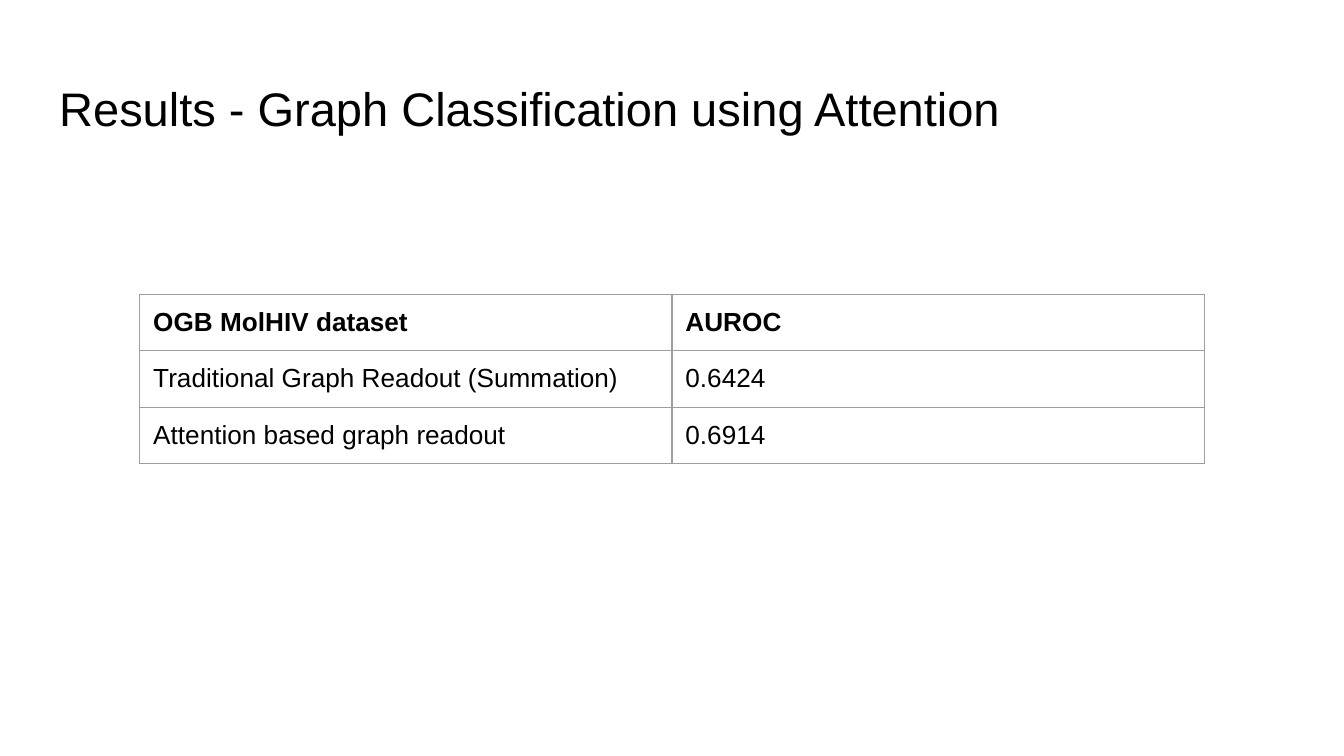
from dataclasses import dataclass

from lxml.etree import SubElement
from pptx import Presentation
from pptx.dml.color import RGBColor
from pptx.enum.text import MSO_ANCHOR, PP_ALIGN
from pptx.oxml.ns import qn
from pptx.util import Inches, Pt


@dataclass(frozen=True)
class Theme:
    font: str = "Arial"
    text: str = "000000"
    border: str = "9E9E9E"
    title_size: float = 25.2
    table_size: float = 14
    border_width: float = 0.75
    inset: float = 0.1


THEME = Theme()
RESULTS = [
    ("OGB MolHIV dataset", "AUROC"),
    ("Traditional Graph Readout (Summation)", "0.6424"),
    ("Attention based graph readout", "0.6914"),
]


def write(tf, text, size, bold=False):
    p = tf.paragraphs[0]
    p.alignment = PP_ALIGN.LEFT
    r = p.add_run()
    r.text = text
    r.font.name = THEME.font
    r.font.size = Pt(size)
    r.font.bold = bold
    r.font.color.rgb = RGBColor.from_string(THEME.text)


def set_insets(box):
    # Text frames and table cells share these margin properties
    box.margin_left = box.margin_right = Inches(THEME.inset)
    box.margin_top = box.margin_bottom = Inches(THEME.inset)


def add_title(s, text, left, top, width, height):
    sp = s.shapes.title
    sp.left, sp.top = Inches(left), Inches(top)
    sp.width, sp.height = Inches(width), Inches(height)
    tf = sp.text_frame
    tf.word_wrap = True
    tf.vertical_anchor = MSO_ANCHOR.MIDDLE
    set_insets(tf)
    write(tf, text, THEME.title_size)


def set_borders(cell):
    tcPr = cell._tc.get_or_add_tcPr()
    for index, side in enumerate(("a:lnL", "a:lnR", "a:lnT", "a:lnB")):
        ln = SubElement(tcPr, qn(side), w=str(Pt(THEME.border_width)))
        fill = SubElement(ln, qn("a:solidFill"))
        SubElement(fill, qn("a:srgbClr"), val=THEME.border)
        # Border lines come before the cell fill
        tcPr.insert(index, ln)


def add_results_table(s, rows, left, top, col_width, row_height):
    n_cols = len(rows[0])
    table = s.shapes.add_table(
        len(rows), n_cols, Inches(left), Inches(top),
        Inches(col_width * n_cols), Inches(row_height * len(rows))).table
    table.first_row = table.horz_banding = False
    for i, row in enumerate(rows):
        for j, text in enumerate(row):
            cell = table.cell(i, j)
            cell.fill.background()
            cell.vertical_anchor = MSO_ANCHOR.TOP
            set_insets(cell)
            set_borders(cell)
            write(cell.text_frame, text, THEME.table_size, bold=i == 0)


def main():
    # Widescreen page, 16:9
    prs = Presentation()
    prs.slide_width = Inches(10)
    prs.slide_height = Inches(10 * 9 / 16)
    s = prs.slides.add_slide(prs.slide_layouts[5])

    # Heading
    add_title(s, "Results - Graph Classification using Attention",
              0.34, 0.49, 9.32, 0.63)

    # Scores for each readout
    add_results_table(s, RESULTS, 1.04, 2.19, 3.96, 0.42)

    prs.save("out.pptx")


main()
